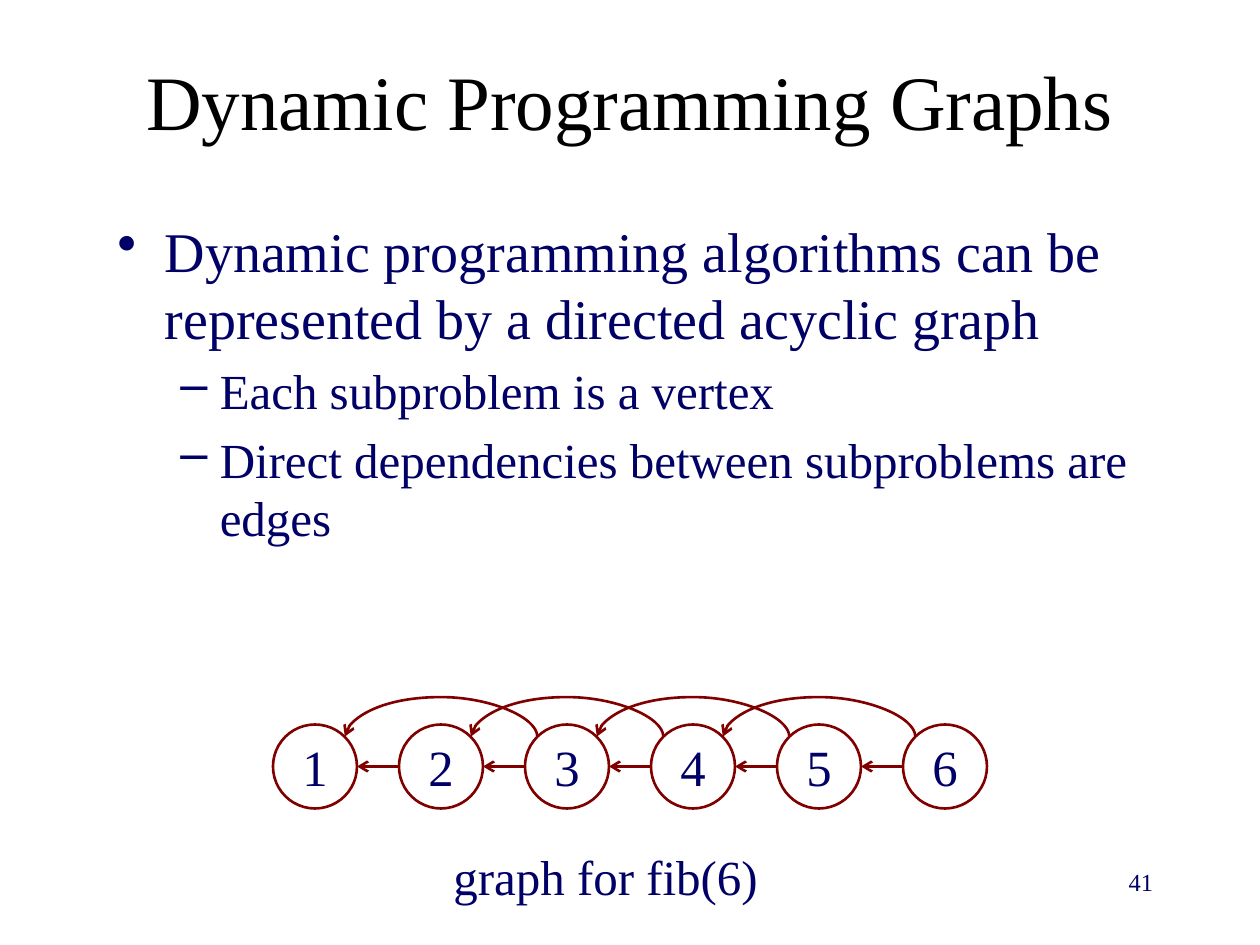
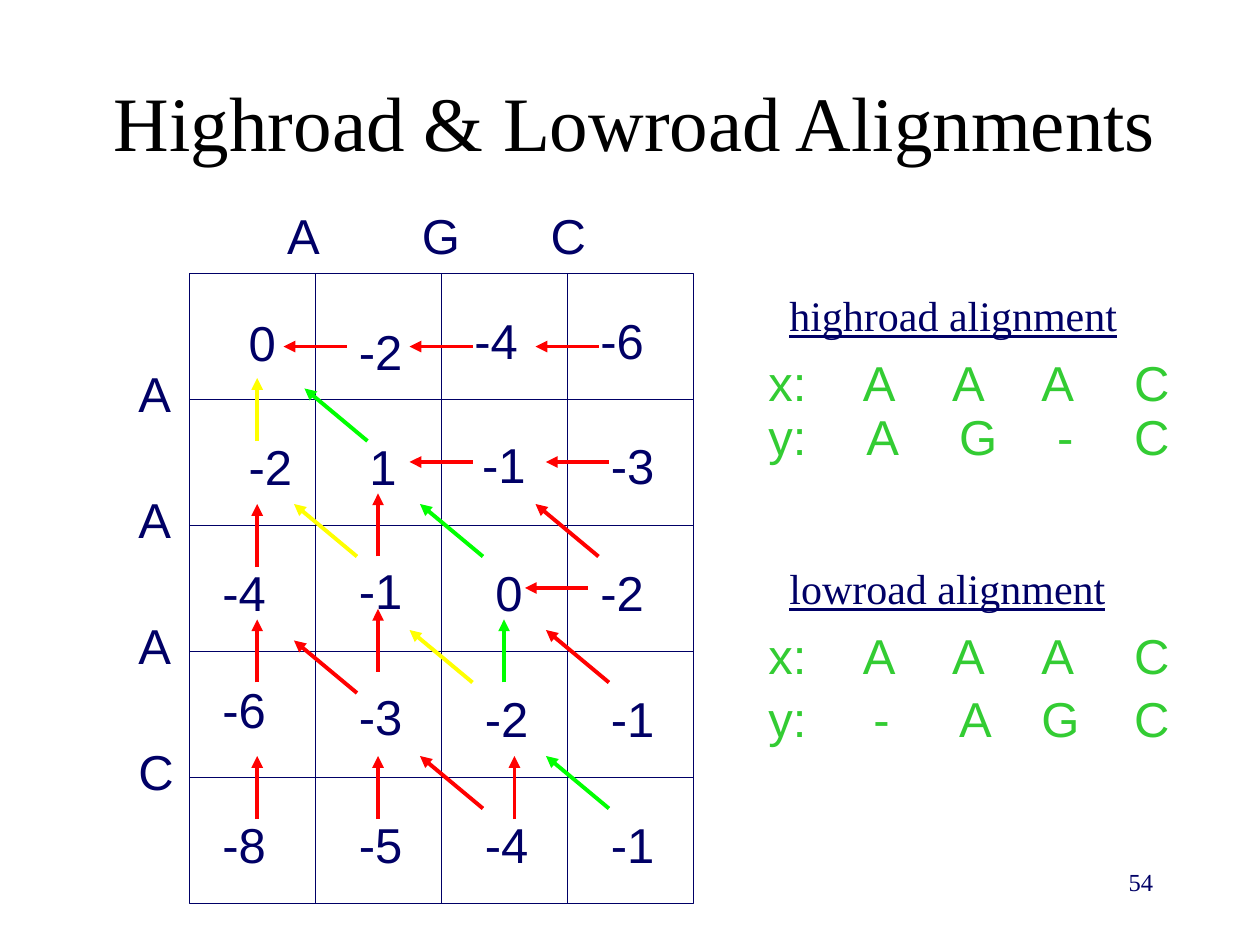
from lxml import etree
from pptx import Presentation
from pptx.dml.color import RGBColor
from pptx.enum.shapes import MSO_CONNECTOR, MSO_SHAPE
from pptx.enum.text import MSO_ANCHOR, MSO_AUTO_SIZE, PP_ALIGN
from pptx.oxml.ns import qn
from pptx.util import Pt

STRAIGHT, CURVE = MSO_CONNECTOR.STRAIGHT, MSO_CONNECTOR.CURVE
OVAL, RECTANGLE = MSO_SHAPE.OVAL, MSO_SHAPE.RECTANGLE
TOP, MIDDLE = MSO_ANCHOR.TOP, MSO_ANCHOR.MIDDLE
LEFT, CENTER, RIGHT = PP_ALIGN.LEFT, PP_ALIGN.CENTER, PP_ALIGN.RIGHT
FIT_SHAPE = MSO_AUTO_SIZE.SHAPE_TO_FIT_TEXT

BLACK = RGBColor(0x00, 0x00, 0x00)
NAVY = RGBColor(0x00, 0x00, 0x66)
MAROON = RGBColor(0x80, 0x00, 0x00)
RED = RGBColor(0xFF, 0x00, 0x00)
YELLOW = RGBColor(0xFF, 0xFF, 0x00)
GREEN = RGBColor(0x00, 0xFF, 0x00)
LEAF = RGBColor(0x33, 0xCC, 0x33)
SERIF, SANS = "Times New Roman", "Arial"

GLYPH_WIDTHS = {"A": 18.7, "C": 20.2, "G": 21.8, "-": 9.3, ":": 7.8, "x": 14, "y": 14}
DIGIT_WIDTH = 15.6
SIDE_INSETS = 14.4
OVAL_TOP_LEFT, OVAL_LEFT, OVAL_RIGHT, OVAL_TOP_RIGHT = 1, 2, 6, 7

NODE_SIZE, NODE_STEP, NODE_LEFT, NODE_TOP = 48, 72, 156, 414
CELL, GRID_LEFT, GRID_TOP = 72, 108, 156
UP, BACK, DIAGONAL = (0, -36), (-36, 0), (-36, -30)

BULLETS = [
    (0, "Dynamic programming algorithms can be represented by a directed acyclic graph"),
    (1, "Each subproblem is a vertex"),
    (1, "Direct dependencies between subproblems are edges"),
]
BULLET_LEVELS = [("•", 32, 27, -27), ("–", 28, 58.5, -22.5)]

SCORES = [
    [("0", 135, 175), ("-2", 198, 180), ("-4", 264, 174), ("-6", 336, 174)],
    [("-2", 135, 246), ("1", 204, 246), ("-1", 268.5, 245), ("-3", 342, 245.5)],
    [("-4", 120, 318), ("-1", 198, 317), ("0", 276, 318), ("-2", 336, 318)],
    [("-6", 120, 385), ("-3", 198, 389), ("-2", 270, 390), ("-1", 342, 390)],
    [("-8", 120, 462), ("-5", 198, 462), ("-4", 270, 462), ("-1", 342, 462)],
]
TRACEBACKS = [
    (UP, YELLOW, [(147, 252)]),
    (UP, RED, [(147, 324), (147, 390), (147, 468), (216, 318), (216, 384),
               (216, 468), (294, 468)]),
    (UP, GREEN, [(288, 390)]),
    (BACK, RED, [(198, 198), (270, 198), (342, 198), (270, 264), (348, 264),
                 (336, 336)]),
    (DIAGONAL, GREEN, [(210, 252), (276, 318), (348, 462)]),
    (DIAGONAL, RED, [(342, 318), (204, 396), (348, 390), (276, 462)]),
    (DIAGONAL, YELLOW, [(204, 318), (270, 390)]),
]
X_SEQUENCE = [("x:", 432), ("A", 486), ("A", 537), ("A", 588), ("C", 641)]
ALIGNMENTS = [
    ("highroad alignment", 201.5, 162, 198, 229,
     [("y:", 432), ("A", 488), ("G", 541), ("-", 597), ("C", 641)]),
    ("lowroad alignment", 195, 318, 354, 390,
     [("y:", 432), ("-", 492), ("A", 541), ("G", 588), ("C", 641)]),
]


class Deck:
    """Hold the shared style and the current slide."""

    def __init__(self):
        self.presentation = Presentation()
        self.presentation.slide_width = Pt(720)
        self.presentation.slide_height = Pt(540)
        self.slide = None

    def start_slide(self, title, number, title_box):
        self.slide = self.presentation.slides.add_slide(self.presentation.slide_layouts[6])
        self.text(title, title_box, 44, color=BLACK, align=CENTER, anchor=MIDDLE)
        self.text(number, (516, 492, 150, 36), 14, align=RIGHT)

    def styled_run(self, paragraph, words, size, font=SERIF, color=NAVY, underline=None):
        run = paragraph.add_run()
        run.text = words
        run.font.name = font
        run.font.size = Pt(size)
        run.font.color.rgb = color
        run.font.underline = underline

    def text(self, words, box, size, font=SERIF, color=NAVY, align=LEFT,
             anchor=TOP, wrap=True, underline=None):
        frame = self.slide.shapes.add_textbox(*map(Pt, box)).text_frame
        frame.word_wrap = wrap
        frame.vertical_anchor = anchor
        if not wrap:
            frame.auto_size = FIT_SHAPE
        frame.paragraphs[0].alignment = align
        self.styled_run(frame.paragraphs[0], words, size, font, color, underline)

    def symbol(self, words, left, top, color=NAVY):
        width = SIDE_INSETS + sum(GLYPH_WIDTHS.get(glyph, DIGIT_WIDTH) for glyph in words)
        self.text(words, (left, top, width, 41), 28, SANS, color, wrap=False)

    def bullets(self, items, box):
        frame = self.slide.shapes.add_textbox(*map(Pt, box)).text_frame
        frame.word_wrap = True
        for position, (level, words) in enumerate(items):
            mark, size, margin, indent = BULLET_LEVELS[level]
            paragraph = frame.add_paragraph() if position else frame.paragraphs[0]
            paragraph.level = level
            paragraph.space_before = Pt(size * 0.2)
            properties = paragraph._p.get_or_add_pPr()
            properties.set("marL", str(Pt(margin)))
            properties.set("indent", str(Pt(indent)))
            etree.SubElement(properties, qn("a:buChar"), char=mark)
            self.styled_run(paragraph, words, size)

    def outline(self, kind, box, color, weight, label=None):
        shape = self.slide.shapes.add_shape(kind, *map(Pt, box))
        shape.shadow.inherit = False
        shape.fill.background()
        shape.line.color.rgb = color
        shape.line.width = Pt(weight)
        if label:
            frame = shape.text_frame
            frame.word_wrap = False
            frame.vertical_anchor = MIDDLE
            frame.paragraphs[0].alignment = CENTER
            self.styled_run(frame.paragraphs[0], label, 29)
        return shape

    def arrow(self, start, end, color, weight, head, kind=STRAIGHT):
        connector = self.slide.shapes.add_connector(kind, *map(Pt, (*start, *end)))
        connector.line.color.rgb = color
        connector.line.width = Pt(weight)
        properties = connector._element.spPr
        etree.SubElement(properties.find(qn("a:ln")), qn("a:tailEnd"), type=head)
        etree.SubElement(properties, qn("a:effectLst"))
        return connector

    def arc(self, center, base, span, color, weight):
        thin = 0.12
        connector = self.arrow((center, base + span / 2), (center + thin, base - span / 2),
                               color, weight, "arrow", CURVE)
        properties = connector._element.spPr
        properties.find(qn("a:xfrm")).set("rot", "16200000")
        geometry = properties.find(qn("a:prstGeom"))
        guides = geometry.find(qn("a:avLst"))
        if guides is None:
            guides = etree.SubElement(geometry, qn("a:avLst"))
        etree.SubElement(guides, qn("a:gd"), name="adj1", fmla="val 20000000")
        return connector

    def glue(self, connector, source, source_site, target, target_site):
        links = connector._element.find(qn("p:nvCxnSpPr")).find(qn("p:cNvCxnSpPr"))
        for tag, node, site in (("a:stCxn", source, source_site),
                                ("a:endCxn", target, target_site)):
            etree.SubElement(links, qn(tag), id=str(node.shape_id), idx=str(site))


def build_dependency_graph(deck):
    deck.start_slide("Dynamic Programming Graphs", "41", (54, 12, 612, 90))
    deck.bullets(BULLETS, (60, 120, 612, 204))
    lefts = [NODE_LEFT + NODE_STEP * index for index in range(6)]
    nodes = [deck.outline(OVAL, (left, NODE_TOP, NODE_SIZE, NODE_SIZE), MAROON, 1.5,
                          str(number))
             for number, left in enumerate(lefts, 1)]
    middle = NODE_TOP + NODE_SIZE / 2
    for left, target, source in zip(lefts, nodes, nodes[1:]):
        edge = deck.arrow((left + NODE_STEP, middle), (left + NODE_SIZE, middle),
                          MAROON, 1.5, "arrow")
        deck.glue(edge, source, OVAL_LEFT, target, OVAL_RIGHT)
    for left, target, source in zip(lefts, nodes, nodes[2:]):
        edge = deck.arc(left + NODE_STEP + NODE_SIZE / 2, NODE_TOP + 7, 110, MAROON, 1.5)
        deck.glue(edge, source, OVAL_TOP_LEFT, target, OVAL_TOP_RIGHT)
    deck.text("graph for fib(6)", (252, 480, 190, 41), 28, wrap=False)


def build_alignments(deck):
    deck.start_slide("Highroad & Lowroad Alignments", "54", (36, 24, 654, 90))
    for letter, left in (("A", 157), ("G", 234), ("C", 307.5)):
        deck.symbol(letter, left, 114)
    for row, letter in enumerate("AAAC"):
        deck.symbol(letter, 72, 204 + CELL * row)
    for row, scores in enumerate(SCORES):
        for column, score in enumerate(scores):
            deck.outline(RECTANGLE, (GRID_LEFT + CELL * column, GRID_TOP + CELL * row,
                                     CELL, CELL), NAVY, 0.25)
            deck.symbol(*score)
    for (across, down), color, starts in TRACEBACKS:
        for left, top in starts:
            deck.arrow((left, top), (left + across, top + down), color, 2.25, "triangle")
    for heading, width, heading_top, x_top, y_top, y_sequence in ALIGNMENTS:
        deck.text(heading, (444, heading_top, width, 36), 24, wrap=False, underline=True)
        for top, sequence in ((x_top, X_SEQUENCE), (y_top, y_sequence)):
            for letter, left in sequence:
                deck.symbol(letter, left, top, LEAF)


def main():
    deck = Deck()
    build_dependency_graph(deck)
    build_alignments(deck)
    deck.presentation.save("out.pptx")


if __name__ == "__main__":
    main()
